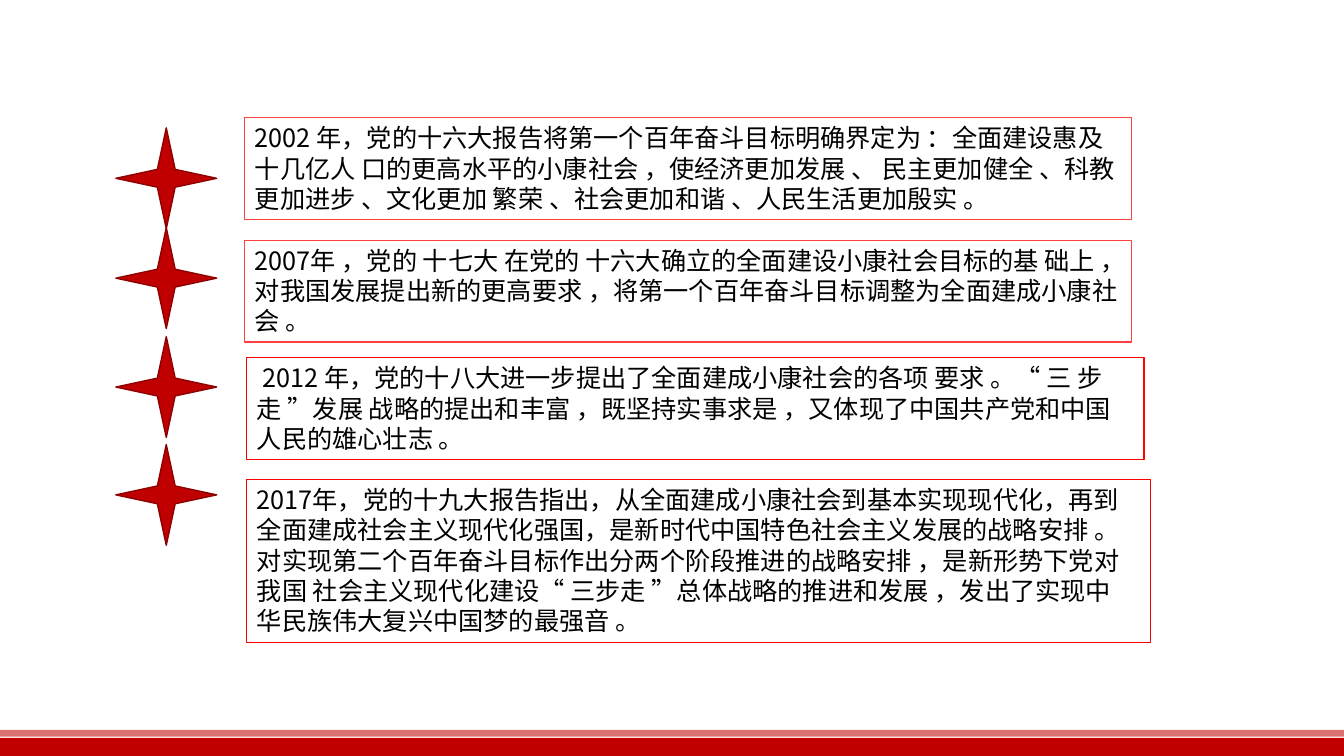
"""Build a timeline slide of four party congress reports."""
from typing import NamedTuple

from lxml.etree import SubElement
from pptx import Presentation
from pptx.dml.color import RGBColor
from pptx.enum.shapes import MSO_SHAPE
from pptx.enum.text import MSO_ANCHOR, MSO_AUTO_SIZE, PP_ALIGN
from pptx.oxml.ns import qn
from pptx.util import Pt

RED = "C00000"
FONT = "Noto Sans CJK SC"
WIDE, HIGH = 960, 540


class Area(NamedTuple):
    left: float
    top: float
    width: float
    height: float


class Report(NamedTuple):
    star_top: float
    area: Area
    edge: str
    text: str


class Band(NamedTuple):
    area: Area
    alpha: int


BANDS = [
    Band(Area(0, 527, WIDE, 13), 100),
    Band(Area(0, 521.3, WIDE, 5), 56),
]

REPORTS = [
    Report(91.4, Area(175, 84.1, 633.6, 72.7), "FF4040",
           "2002 年，党的十六大报告将第一个百年奋斗目标明确界定为 ：全面建设惠及十几亿人 口的更高水平的小康社会 ，"
           "使经济更加发展 、 民主更加健全 、科教更加进步 、文化更加 繁荣 、社会更加和谐 、人民生活更加殷实 。"),
    Report(162.7, Area(175, 171.6, 633.6, 72.7), "FF4040",
           "2007年 ，党的 十七大 在党的 十六大确立的全面建设小康社会目标的基 础上 ，"
           "对我国发展提出新的更高要求 ，将第一个百年奋斗目标调整为全面建成小康社会 。"),
    Report(240.5, Area(176.4, 255.5, 640.8, 72.7), "FF0000",
           " 2012 年，党的十八大进一步提出了全面建成小康社会的各项 要求 。“ 三 步走 ”发展 战略的提出和丰富 ，"
           "既坚持实事求是 ，又体现了中国共产党和中国人民的雄心壮志 。"),
    Report(317.5, Area(176.4, 342.5, 645.1, 116.6), "FF0000",
           "2017年，党的十九大报告指出，从全面建成小康社会到基本实现现代化，再到全面建成社会主义现代化强国，"
           "是新时代中国特色社会主义发展的战略安排 。对实现第二个百年奋斗目标作出分两个阶段推进的战略安排 ，"
           "是新形势下党对我国 社会主义现代化建设“ 三步走 ”总体战略的推进和发展 ，"
           "发出了实现中 华民族伟大复兴中国梦的最强音 。"),
]


def tint(form, code: str) -> None:
    form.rgb = RGBColor.from_string(code)


def add_form(slide, kind, area: Area, fill: str = "", edge: str = "", weight: float = 1):
    form = slide.shapes.add_shape(kind, *map(Pt, area))
    form.shadow.inherit = False
    if fill:
        form.fill.solid()
        tint(form.fill.fore_color, fill)
    else:
        form.fill.background()
    if edge:
        tint(form.line.color, edge)
        form.line.width = Pt(weight)
    else:
        form.line.fill.background()
    return form


def add_band(slide, band: Band) -> None:
    form = add_form(slide, MSO_SHAPE.RECTANGLE, band.area, RED)
    if band.alpha < 100:
        color = form.fill._xPr.find(qn("a:solidFill"))[0]
        SubElement(color, qn("a:alpha")).set("val", str(band.alpha * 1000))


def add_report(slide, report: Report) -> None:
    add_form(slide, MSO_SHAPE.STAR_4_POINT, Area(82.8, report.star_top, 72, 72), RED, "8E0000")
    box = add_form(slide, MSO_SHAPE.RECTANGLE, report.area, edge=report.edge, weight=0.75)
    frame = box.text_frame
    frame.text = report.text
    frame.word_wrap = True
    frame.auto_size = MSO_AUTO_SIZE.SHAPE_TO_FIT_TEXT
    frame.vertical_anchor = MSO_ANCHOR.TOP
    line = frame.paragraphs[0]
    line.alignment = PP_ALIGN.LEFT
    for run in line.runs:
        run.font.size = Pt(18)
        run.font.name = FONT
        tint(run.font.color, "000000")
        SubElement(run.font._element, qn("a:ea")).set("typeface", FONT)


def main() -> None:
    deck = Presentation()
    deck.slide_width, deck.slide_height = Pt(WIDE), Pt(HIGH)
    slide = deck.slides.add_slide(deck.slide_layouts[6])
    for band in BANDS:
        add_band(slide, band)
    for report in REPORTS:
        add_report(slide, report)
    deck.save("out.pptx")


if __name__ == "__main__":
    main()
